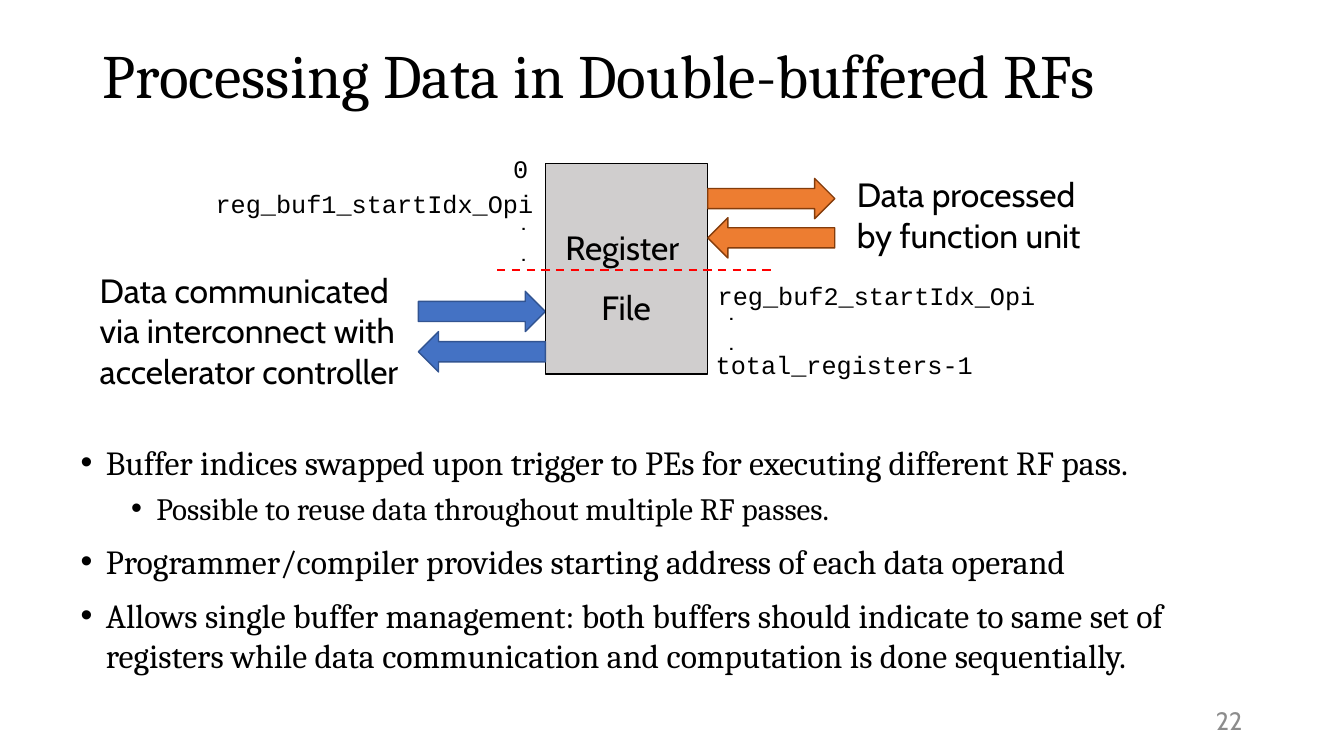
from dataclasses import dataclass

from lxml.etree import SubElement
from pptx import Presentation
from pptx.dml.color import RGBColor
from pptx.enum.dml import MSO_LINE
from pptx.enum.shapes import MSO_CONNECTOR, MSO_SHAPE
from pptx.enum.text import MSO_ANCHOR, MSO_AUTO_SIZE, PP_ALIGN
from pptx.oxml.ns import qn
from pptx.util import Inches, Pt

SERIF, SANS, MONO = "Cambria", "Cabin", "Courier New"
BLACK = "000000"


@dataclass
class Block:
    shape_type: MSO_SHAPE
    left: float
    top: float
    width: float
    height: float
    fill: str
    line: str


@dataclass
class Label:
    text: str
    left: float
    top: float
    width: float
    height: float
    font: str = MONO
    size: float = 18
    color: str = BLACK
    wrap: bool = False
    align: PP_ALIGN = PP_ALIGN.LEFT
    line_spacing: float = 1.0
    anchor: MSO_ANCHOR = MSO_ANCHOR.TOP
    auto_size: MSO_AUTO_SIZE = MSO_AUTO_SIZE.SHAPE_TO_FIT_TEXT


@dataclass
class Bullet:
    text: str
    level: int = 0


def rgb(color: str) -> RGBColor:
    return RGBColor.from_string(color)


def place(shape, left: float, top: float, width: float, height: float) -> None:
    shape.left, shape.top = Inches(left), Inches(top)
    shape.width, shape.height = Inches(width), Inches(height)


def write(paragraph, text: str, *, font: str, size: float, color: str = BLACK,
          align: PP_ALIGN = PP_ALIGN.LEFT, line_spacing: float = 1.0,
          space_before: float = 0) -> None:
    paragraph.text = text
    paragraph.alignment = align
    paragraph.line_spacing = line_spacing
    paragraph.space_before = Pt(space_before)
    paragraph.font.name = font
    paragraph.font.size = Pt(size)
    paragraph.font.color.rgb = rgb(color)
    for run in paragraph.runs:
        run.font.name = font
        run.font.size = Pt(size)
        run.font.color.rgb = rgb(color)


def add_bullet_mark(paragraph, left_margin: float) -> None:
    properties = paragraph._p.get_or_add_pPr()
    properties.set("marL", str(Inches(left_margin)))
    properties.set("indent", str(Inches(-0.25)))
    SubElement(properties, qn("a:buFont"), typeface="Arial")
    SubElement(properties, qn("a:buChar"), char="•")


def add_block(slide, block: Block) -> None:
    shape = slide.shapes.add_shape(
        block.shape_type, Inches(block.left), Inches(block.top),
        Inches(block.width), Inches(block.height))
    shape.shadow.inherit = False
    shape.fill.solid()
    shape.fill.fore_color.rgb = rgb(block.fill)
    shape.line.color.rgb = rgb(block.line)
    shape.line.width = Pt(1)


def add_label(slide, label: Label) -> None:
    box = slide.shapes.add_textbox(
        Inches(label.left), Inches(label.top), Inches(label.width), Inches(label.height))
    frame = box.text_frame
    frame.word_wrap = label.wrap
    frame.auto_size = label.auto_size
    frame.vertical_anchor = label.anchor
    for index, text in enumerate(label.text.split("\n")):
        paragraph = frame.add_paragraph() if index else frame.paragraphs[0]
        write(paragraph, text, font=label.font, size=label.size, color=label.color,
              align=label.align, line_spacing=label.line_spacing)


def add_divider(slide, left: float, right: float, height: float) -> None:
    divider = slide.shapes.add_connector(
        MSO_CONNECTOR.STRAIGHT, Inches(left), Inches(height), Inches(right), Inches(height))
    divider.line.color.rgb = rgb("FF0000")
    divider.line.width = Pt(1.5)
    divider.line.dash_style = MSO_LINE.DASH
    SubElement(divider._element.spPr, qn("a:effectLst"))


def fill_title(title, text: str) -> None:
    place(title, 0.92, 0.4, 11.5, 1.45)
    title.text_frame.auto_size = MSO_AUTO_SIZE.NONE
    title.text_frame.vertical_anchor = MSO_ANCHOR.TOP
    write(title.text_frame.paragraphs[0], text, font=SERIF, size=44, line_spacing=0.9)


def fill_body(body, bullets: list[Bullet]) -> None:
    place(body, 0.7, 4.33, 11.71, 2.6)
    frame = body.text_frame
    frame.auto_size = MSO_AUTO_SIZE.NONE
    frame.vertical_anchor = MSO_ANCHOR.TOP
    for index, bullet in enumerate(bullets):
        paragraph = frame.add_paragraph() if index else frame.paragraphs[0]
        paragraph.level = bullet.level
        add_bullet_mark(paragraph, 0.25 + 0.5 * bullet.level)
        write(paragraph, bullet.text, font=SERIF,
              size=22.2 if bullet.level else 24.1,
              space_before=0 if index == 0 else 5 if bullet.level else 10)


BULLETS = [
    Bullet("Buffer indices swapped upon trigger to PEs for executing different RF pass."),
    Bullet("Possible to reuse data throughout multiple RF passes.", level=1),
    Bullet("Programmer/compiler provides starting address of each data operand"),
    Bullet("Allows single buffer management: both buffers should indicate to same set of "
           "registers while data communication and computation is done sequentially."),
]

ARROW_SIZE = (1.26, 0.4)
BLUE, ORANGE = ("4472C4", "325491"), ("ED7D31", "843C0B")
BLOCKS = [
    Block(MSO_SHAPE.RIGHT_ARROW, 4.15, 2.89, *ARROW_SIZE, *BLUE),
    Block(MSO_SHAPE.RECTANGLE, 5.41, 1.62, 1.61, 2.09, "D0CECE", BLACK),
    Block(MSO_SHAPE.LEFT_ARROW, 4.15, 3.29, *ARROW_SIZE, *BLUE),
    Block(MSO_SHAPE.RIGHT_ARROW, 7.02, 1.77, *ARROW_SIZE, *ORANGE),
    Block(MSO_SHAPE.LEFT_ARROW, 7.02, 2.16, *ARROW_SIZE, *ORANGE),
]

LABELS = [
    Label("Data communicated via interconnect with accelerator controller",
          0.89, 2.63, 3.42, 1.31, SANS, 24, wrap=True),
    Label("Register \vFile", 5.48, 2, 1.46, 1.25, SANS, 24,
          align=PP_ALIGN.CENTER, line_spacing=1.5),
    Label("Data processed by function unit", 8.4, 1.68, 2.76, 0.91, SANS, 24, wrap=True),
    Label("reg_buf1_startIdx_Opi", 2.04, 1.82, 3.37, 0.4),
    Label("0", 4.99, 1.47, 0.35, 0.4),
    Label("reg_buf2_startIdx_Opi", 7.02, 2.73, 3.37, 0.4),
    Label(".\n.", 5.07, 1.99, 0.27, 0.71, SANS),
    Label(".\n.", 7.13, 2.88, 0.27, 0.71, SANS),
    Label("total_registers-1", 7, 3.42, 2.76, 0.4),
    Label("22", 9.42, 6.95, 3, 0.4, SANS, color="8C8C8C", wrap=True,
          align=PP_ALIGN.RIGHT, anchor=MSO_ANCHOR.MIDDLE, auto_size=MSO_AUTO_SIZE.NONE),
]


def main() -> None:
    presentation = Presentation()
    presentation.slide_width, presentation.slide_height = Inches(13.33), Inches(7.5)
    slide = presentation.slides.add_slide(presentation.slide_layouts[1])

    # Title and bullet list
    fill_title(slide.shapes.title, "Processing Data in Double-buffered RFs")
    fill_body(slide.placeholders[1], BULLETS)

    # Register file diagram and slide number
    for block in BLOCKS:
        add_block(slide, block)
    add_divider(slide, 4.93, 7.65, 2.68)
    for label in LABELS:
        add_label(slide, label)

    presentation.save("out.pptx")


if __name__ == "__main__":
    main()
